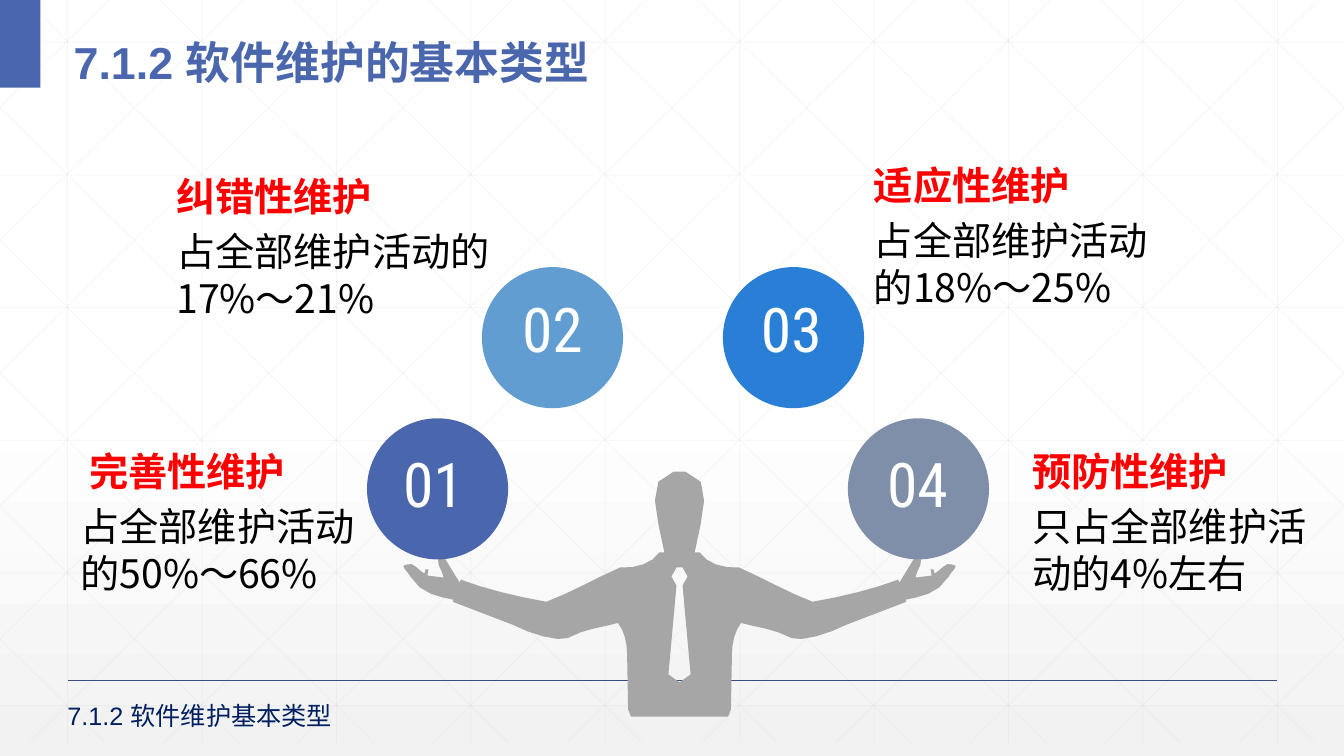
from lxml import etree
from pptx import Presentation
from pptx.dml.color import RGBColor
from pptx.enum.shapes import MSO_CONNECTOR, MSO_SHAPE
from pptx.enum.text import MSO_ANCHOR, PP_ALIGN
from pptx.oxml.ns import qn
from pptx.util import Inches, Pt

STRAIGHT, OVAL, RECT = MSO_CONNECTOR.STRAIGHT, MSO_SHAPE.OVAL, MSO_SHAPE.RECTANGLE
LEFT, CENTER = PP_ALIGN.LEFT, PP_ALIGN.CENTER
TOP, MIDDLE = MSO_ANCHOR.TOP, MSO_ANCHOR.MIDDLE

WHITE = RGBColor(0xFF, 0xFF, 0xFF)
BLACK = RGBColor(0x00, 0x00, 0x00)
RED = RGBColor(0xFF, 0x00, 0x00)
INDIGO = RGBColor(0x4A, 0x66, 0xAC)
SKY = RGBColor(0x62, 0x9D, 0xD1)
BLUE = RGBColor(0x29, 0x7F, 0xD5)
SLATE = RGBColor(0x7F, 0x8F, 0xA9)
NAVY = RGBColor(0x00, 0x20, 0x60)
RULE = RGBColor(0x38, 0x4C, 0x81)
GRID = RGBColor(0xD9, 0xD9, 0xD9)
PALE = RGBColor(0xF2, 0xF2, 0xF2)
GREY = RGBColor(0xA6, 0xA6, 0xA6)
ARIAL, CJK, CONDENSED = "Arial", "Noto Sans CJK SC", "Roboto Condensed"

# Content
TITLE = "7.1.2 软件维护的基本类型"
FOOTER = "7.1.2 软件维护基本类型"
# number, fill, circle left and top, number offset from the circle
BALLS = [
    ("02", SKY, 4.78, 2.65, 0.23, 0.19),
    ("01", INDIGO, 3.64, 4.15, 0.19, 0.22),
    ("03", BLUE, 7.17, 2.65, 0.21, 0.19),
    ("04", SLATE, 8.41, 4.15, 0.22, 0.22),
]
# heading, detail, left, top, width
TYPES = [
    (" 完善性维护", "占全部维护活动的50%～66%", 0.7, 4.39, 2.94),
    ("纠错性维护", "占全部维护活动的17%～21%", 1.65, 1.66, 3.41),
    ("适应性维护", "占全部维护活动的18%～25%", 8.57, 1.55, 2.94),
    ("预防性维护", "只占全部维护活动的4%左右", 10.14, 4.39, 2.94),
]

# Right half of the figure: points, or curves of two handles and an end
AXIS = 6.74
BODY = [
    (6.74, 4.68), (6.8, 4.68), (7.1, 4.74, 6.96, 5.12, 6.89, 5.48), (6.94, 5.48),
    (7.01, 5.59, 7.17, 5.64, 7.33, 5.63), (7.58, 5.74, 7.82, 5.88, 8.06, 5.97),
    (8.35, 5.92, 8.68, 5.84, 8.91, 5.75), (8.92, 5.78), (9.08, 5.52),
    (9.21, 5.54, 9.08, 5.66, 9.08, 5.73), (9.24, 5.71), (9.23, 5.65), (9.26, 5.65),
    (9.27, 5.69), (9.33, 5.66, 9.38, 5.57, 9.44, 5.6),
    (9.54, 5.6, 9.42, 5.68, 9.41, 5.72), (9.3, 5.9, 9.12, 5.92, 8.98, 5.95),
    (8.99, 5.97), (8.39, 6.2), (8.22, 6.29, 7.94, 6.37, 7.85, 6.33),
    (7.66, 6.23, 7.52, 6.23, 7.35, 6.18), (7.29, 6.26, 7.26, 6.37, 7.26, 6.49),
    (7.25, 7.04), (7.23, 7.06, 7.24, 7.13, 7.19, 7.11), (6.74, 7.11),
]
TIE = [(6.74, 5.63), (6.77, 5.63), (6.82, 5.72), (6.77, 5.81), (6.85, 6.69), (6.74, 6.77)]

W, H = 13.33, 7.5
GRID_H, STEP_X, STEP_Y = 7.37, 4 / 3, 1.316
DIAG_RUN = 7.46
BALL = 1.4


def add_line(s, x1, y1, x2, y2, color, width, alpha=None):
    line = s.shapes.add_connector(STRAIGHT, *map(Inches, (x1, y1, x2, y2)))
    line.line.color.rgb = color
    line.line.width = Pt(width)
    etree.SubElement(line._element.spPr, qn("a:effectLst"))
    if alpha:
        clr = line._element.spPr.find(".//" + qn("a:srgbClr"))
        etree.SubElement(clr, qn("a:alpha"), val=str(alpha * 1000))


def paint(shape, color):
    shape.shadow.inherit = False
    shape.fill.solid()
    shape.fill.fore_color.rgb = color
    shape.line.fill.background()


def add_run(p, text, size, font, color, bold=False):
    r = p.add_run()
    r.text = text
    r.font.size, r.font.name, r.font.bold = Pt(size), font, bold
    r.font.color.rgb = color
    etree.SubElement(r._r.get_or_add_rPr(), qn("a:ea"), typeface=CJK)


def add_box(s, x, y, w, h):
    tf = s.shapes.add_textbox(*map(Inches, (x, y, w, h))).text_frame
    tf.word_wrap = True
    tf.vertical_anchor = TOP
    return tf


def outline(half, steps=4):
    """Sample the curves, then mirror the half about the axis."""
    pts = [half[0]]
    for seg in half[1:]:
        if len(seg) == 2:
            pts.append(seg)
            continue
        (x0, y0), (x1, y1, x2, y2, x3, y3) = pts[-1], seg
        for i in range(1, steps + 1):
            t = i / steps
            a, b, c, d = (1 - t) ** 3, 3 * t * (1 - t) ** 2, 3 * t * t * (1 - t), t ** 3
            pts.append((a * x0 + b * x1 + c * x2 + d * x3, a * y0 + b * y1 + c * y2 + d * y3))
    pts += [(2 * AXIS - x, y) for x, y in reversed(pts[1:-1])]
    return [(Inches(x), Inches(y)) for x, y in pts]


def add_grid(s):
    lines = []
    for i in range(10):
        x = 0.67 + i * STEP_X
        lines.append((x, 0, x, GRID_H))
    for i in range(6):
        y = 0.42 + i * STEP_Y
        lines.append((0, y, W, y))
    slope = GRID_H / DIAG_RUN
    for i in range(-5, 10):
        x = 0.25 + i * STEP_X
        x1, x2 = max(x, 0), min(x + DIAG_RUN, W)
        y1, y2 = (x1 - x) * slope, (x2 - x) * slope
        lines += [(x1, y1, x2, y2), (W - x1, y1, W - x2, y2)]
    for ends in lines:
        add_line(s, *ends, GRID, 0.5, alpha=25)


def main():
    prs = Presentation()
    prs.slide_width, prs.slide_height = Inches(W), Inches(H)
    s = prs.slides.add_slide(prs.slide_layouts[5])
    title = s.shapes.title

    # Background
    bg = s.background.fill
    bg.gradient()
    bg.gradient_angle = 270
    for stop, pos, color in zip(bg.gradient_stops, (0.53, 1), (WHITE, PALE)):
        stop.position = pos
        stop.color.rgb = color

    # Grid, footer rule and corner block, handed over to the layout
    add_grid(s)
    add_line(s, 0.67, 6.75, 12.67, 6.75, RULE, 1)
    paint(s.shapes.add_shape(RECT, 0, 0, Inches(0.4), Inches(0.87)), INDIGO)
    for shape in list(s.shapes):
        if not shape.is_placeholder:
            s.slide_layout.shapes._spTree.append(shape._element)

    # Title
    title.left, title.top, title.width, title.height = map(Inches, (0.63, 0.13, 11.9, 0.73))
    tf = title.text_frame
    tf.vertical_anchor = MIDDLE
    tf.margin_top = Inches(0.13)
    p = tf.paragraphs[0]
    p.alignment, p.line_spacing = LEFT, 1.3
    add_run(p, TITLE, 32, ARIAL, INDIGO, bold=True)

    # Figure with the tie cut out
    body, tie = outline(BODY), outline(TIE)
    fb = s.shapes.build_freeform(*body[0])
    fb.add_line_segments(body[1:], close=True)
    fb.move_to(*tie[0])
    fb.add_line_segments(tie[1:], close=True)
    paint(fb.convert_to_shape(), GREY)

    # Numbered balls
    for number, color, x, y, dx, dy in BALLS:
        paint(s.shapes.add_shape(OVAL, *map(Inches, (x, y, BALL, BALL))), color)
        p = add_box(s, x + dx, y + dy, 0.94, 0.84).paragraphs[0]
        p.alignment = CENTER
        add_run(p, number, 44, CONDENSED, WHITE)

    # Maintenance types
    for heading, detail, x, y, w in TYPES:
        tf = add_box(s, x, y, w, 1.61)
        head, text = tf.paragraphs[0], tf.add_paragraph()
        head.line_spacing = text.line_spacing = Pt(33.6)
        text.space_before = Pt(5.6)
        add_run(head, heading, 28, CJK, RED, bold=True)
        add_run(text, detail, 28, CJK, BLACK)

    # Footer
    p = add_box(s, 0.57, 6.89, 3.86, 0.4).paragraphs[0]
    p.line_spacing = Pt(22.5)
    add_run(p, FOOTER, 18, ARIAL, NAVY)

    prs.save("out.pptx")


if __name__ == "__main__":
    main()
